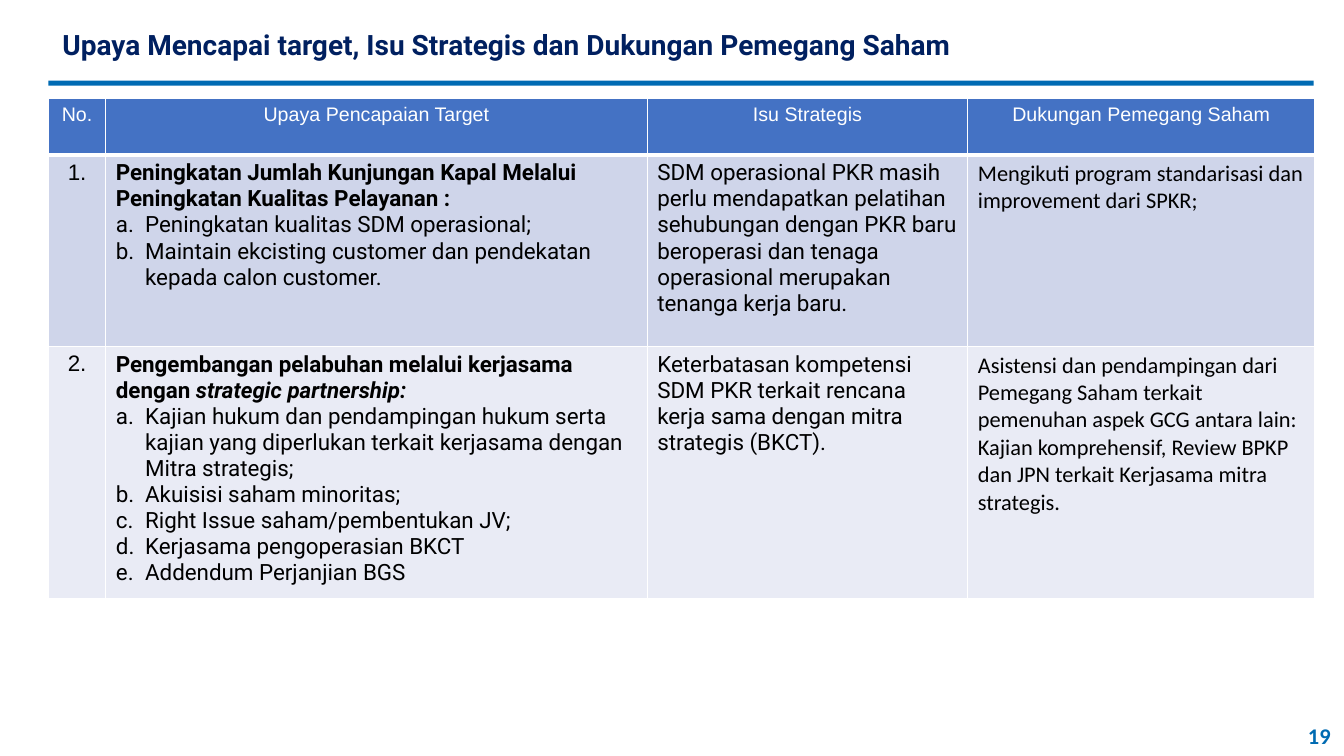
from lxml import etree
from pptx import Presentation
from pptx.dml.color import RGBColor
from pptx.enum import shapes, text
from pptx.oxml.ns import qn
from pptx.util import Inches, Pt

COLORS = {
    "navy": "002060", "rule": "006BB3", "number": "006BB2", "header": "4472C4",
    "band_dark": "CFD5EA", "band_light": "E9EBF5", "white": "FFFFFF", "black": "000000",
}
TITLE = "Upaya Mencapai target, Isu Strategis dan Dukungan Pemegang Saham"
PAGE_NUMBER = "19"
HEADERS = ["No.", "Upaya Pencapaian Target", "Isu Strategis", "Dukungan Pemegang Saham"]
EFFORTS = [
    {
        "heading": [("Peningkatan Jumlah Kunjungan Kapal Melalui Peningkatan Kualitas Pelayanan :", False)],
        "steps": [
            "Peningkatan kualitas SDM operasional;",
            "Maintain ekcisting customer dan pendekatan kepada calon customer.",
        ],
        "issue": "SDM operasional PKR masih perlu mendapatkan pelatihan sehubungan dengan PKR baru "
                 "beroperasi dan tenaga operasional merupakan tenanga kerja baru.",
        "support": "Mengikuti program standarisasi dan improvement dari SPKR;",
        "fill": "band_dark",
    },
    {
        "heading": [("Pengembangan pelabuhan melalui kerjasama dengan ", False),
                    ("strategic partnership:", True)],
        "steps": [
            "Kajian hukum dan pendampingan hukum serta kajian yang diperlukan terkait kerjasama "
            "dengan Mitra strategis;",
            "Akuisisi saham minoritas;",
            "Right Issue saham/pembentukan JV;",
            "Kerjasama pengoperasian BKCT",
            "Addendum Perjanjian BGS",
        ],
        "issue": "Keterbatasan kompetensi SDM PKR terkait rencana kerja sama dengan mitra "
                 "strategis (BKCT).",
        "support": "Asistensi dan pendampingan dari Pemegang Saham terkait pemenuhan aspek GCG "
                   "antara lain: Kajian komprehensif, Review BPKP dan JPN terkait Kerjasama mitra "
                   "strategis.",
        "fill": "band_light",
    },
]
COLUMN_WIDTHS = [0.57, 5.37, 3.18, 3.44]
ROW_HEIGHTS = [0.56, 1.9, 2.43]
TABLE_LEFT, TABLE_TOP = 0.48, 0.98
STEP_INDENT = 0.29


def color(name):
    return RGBColor.from_string(COLORS[name])


def add_text(paragraph, content, size=16, font="Roboto", fill="black", bold=False,
             italic=False, align=text.PP_ALIGN.LEFT):
    paragraph.alignment = align
    run = paragraph.add_run()
    run.text = content
    run.font.size, run.font.name = Pt(size), font
    run.font.bold, run.font.italic = bold, italic
    run.font.color.rgb = color(fill)


def set_indent(paragraph, left, first=0):
    properties = paragraph._p.get_or_add_pPr()
    properties.set("marL", str(Inches(left)))
    properties.set("indent", str(Inches(first)))
    return properties


def add_box(left, top, width, height):
    frame = slide.shapes.add_textbox(*map(Inches, (left, top, width, height))).text_frame
    frame.word_wrap = True
    frame.vertical_anchor = text.MSO_ANCHOR.MIDDLE
    return frame.paragraphs[0]


def style_cell(cell, fill, bottom=1):
    properties = cell._tc.get_or_add_tcPr()
    for side, width in (("lnL", 1), ("lnR", 1), ("lnT", 1), ("lnB", bottom)):
        line = etree.SubElement(properties, qn(f"a:{side}"), w=str(Pt(width)))
        solid = etree.SubElement(line, qn("a:solidFill"))
        etree.SubElement(solid, qn("a:srgbClr"), val=COLORS["white"])
    cell.fill.solid()
    cell.fill.fore_color.rgb = color(fill)


presentation = Presentation()
presentation.slide_width, presentation.slide_height = Inches(13.33), Inches(7.5)
slide = presentation.slides.add_slide(presentation.slide_layouts[6])

# Title, rule and page number
rule = slide.shapes.add_shape(shapes.MSO_SHAPE.RECTANGLE,
                              *map(Inches, (TABLE_LEFT, 0.8, 12.55, 0.05)))
rule.shadow.inherit = False
rule.fill.solid()
rule.fill.fore_color.rgb = color("rule")
rule.line.fill.background()

title = add_box(0.38, 0.21, 11.24, 0.45)
set_indent(title, 0.14)
add_text(title, TITLE, size=20, fill="navy", bold=True)
add_text(add_box(12.84, 7.1, 0.49, 0.4), PAGE_NUMBER, font="Calibri", fill="number",
         bold=True, align=text.PP_ALIGN.CENTER)

# Table grid
table = slide.shapes.add_table(
    len(ROW_HEIGHTS), len(COLUMN_WIDTHS), Inches(TABLE_LEFT), Inches(TABLE_TOP),
    Inches(sum(COLUMN_WIDTHS)), Inches(sum(ROW_HEIGHTS))).table
for column, width in zip(table.columns, COLUMN_WIDTHS):
    column.width = Inches(width)
for row, height in zip(table.rows, ROW_HEIGHTS):
    row.height = Inches(height)

# Header row
for cell, label in zip(table.rows[0].cells, HEADERS):
    style_cell(cell, "header", bottom=3)
    add_text(cell.text_frame.paragraphs[0], label, size=14, font="Arial", fill="white",
             align=text.PP_ALIGN.CENTER)

# Effort rows
for index, effort in enumerate(EFFORTS, start=1):
    cells = list(table.rows[index].cells)
    for cell in cells:
        style_cell(cell, effort["fill"])
    number, target, issue, support = (cell.text_frame.paragraphs[0] for cell in cells)
    add_text(number, f"{index}.", font="Arial", align=text.PP_ALIGN.CENTER)
    for content, italic in effort["heading"]:
        add_text(target, content, bold=True, italic=italic)
    for step in effort["steps"]:
        paragraph = cells[1].text_frame.add_paragraph()
        properties = set_indent(paragraph, STEP_INDENT, -STEP_INDENT)
        etree.SubElement(properties, qn("a:buAutoNum"), type="alphaLcPeriod")
        add_text(paragraph, step)
    add_text(issue, effort["issue"])
    add_text(support, effort["support"], font="Calibri")

presentation.save("out.pptx")
